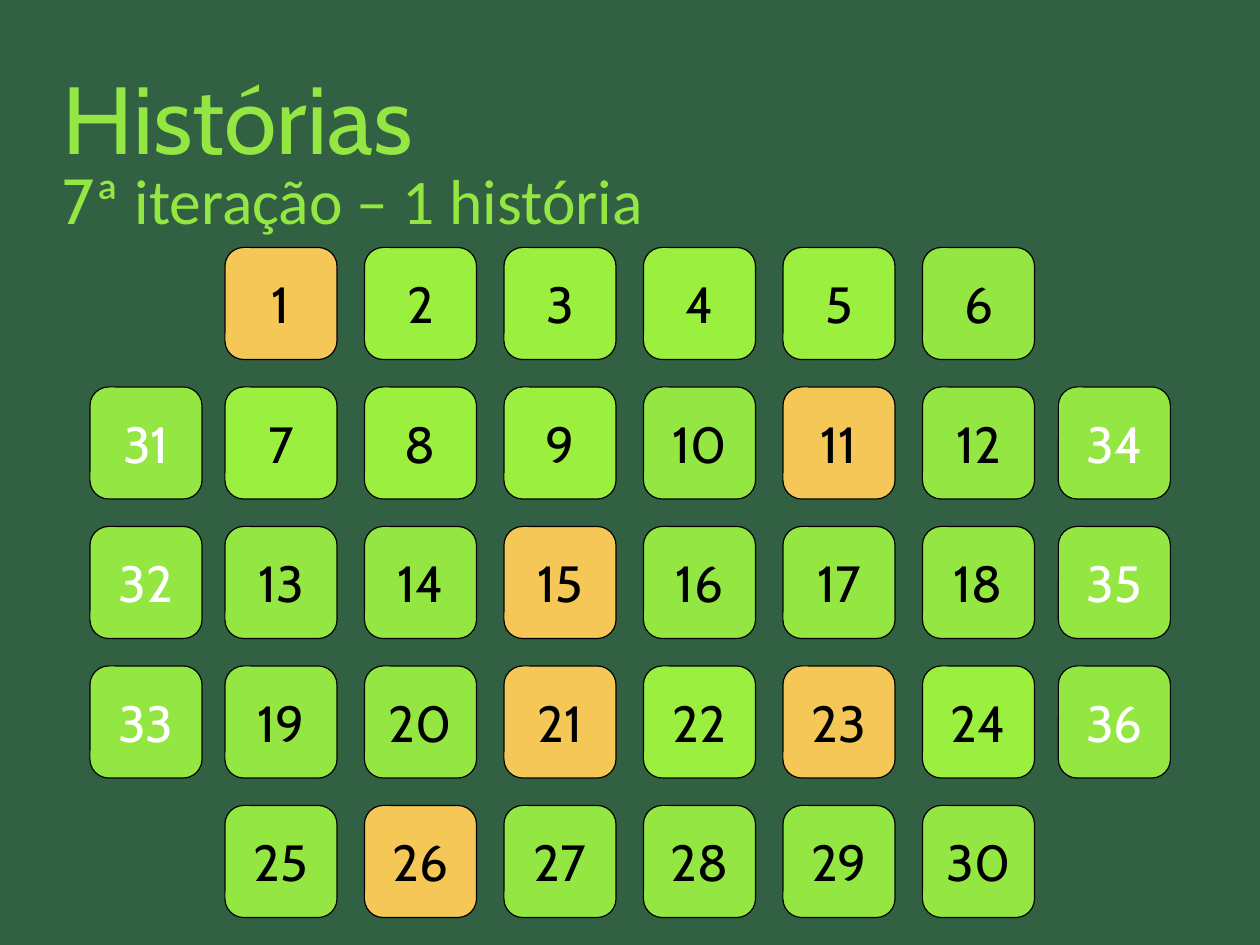
from pptx import Presentation
from pptx.dml.color import RGBColor
from pptx.enum.shapes import MSO_SHAPE
from pptx.enum.text import MSO_ANCHOR, PP_ALIGN
from pptx.util import Cm, Pt

COLORS = {
    "background": "316142",
    "green": "94E742",
    "bright": "9AEF3F",
    "amber": "F4C757",
    "black": "000000",
    "white": "FFFFFF",
}
BRIGHT_STORIES = {2, 3, 4, 5, 7, 8, 9, 22, 24}
AMBER_STORIES = {1, 11, 15, 21, 23, 26}
CARD_SIZE = 2.49
CARD_PITCH = 3.1
MAIN_COLUMNS = 6
MAIN_ROWS = 5
SIDE_ROWS = 3


def color(name):
    """Return the named colour."""
    return RGBColor.from_string(COLORS[name])


def apply_format(target, values):
    """Set each attribute in values on the target."""
    for name, value in values.items():
        setattr(target, name, value)


def add_run(paragraph, text, size, font_name, color_name):
    """Append a formatted run to the paragraph."""
    run = paragraph.add_run()
    run.text = text
    apply_format(run.font, {"size": Pt(size), "name": font_name})
    run.font.color.rgb = color(color_name)


def add_heading(slide, left, top, width, height, size, parts):
    """Place a heading made of (text, font) parts in the given box."""
    shape = slide.shapes.add_textbox(Cm(left), Cm(top), Cm(width), Cm(height))
    apply_format(shape.text_frame, {
        "word_wrap": True,
        "vertical_anchor": MSO_ANCHOR.MIDDLE,
        "margin_left": 0,
        "margin_top": 0,
        "margin_right": 0,
        "margin_bottom": 0,
    })
    for text, font_name in parts:
        add_run(shape.text_frame.paragraphs[0], text, size, font_name, "green")


def add_card(slide, left, top, story, fill_name, text_name):
    """Place one numbered story card."""
    shape = slide.shapes.add_shape(
        MSO_SHAPE.ROUNDED_RECTANGLE, Cm(left), Cm(top), Cm(CARD_SIZE), Cm(CARD_SIZE)
    )
    shape.shadow.inherit = False
    shape.adjustments[0] = 0.167
    shape.fill.solid()
    shape.fill.fore_color.rgb = color(fill_name)
    shape.line.color.rgb = color("black")
    shape.line.width = Pt(0)
    apply_format(shape.text_frame, {"word_wrap": True, "vertical_anchor": MSO_ANCHOR.MIDDLE})
    paragraph = shape.text_frame.paragraphs[0]
    paragraph.alignment = PP_ALIGN.CENTER
    add_run(paragraph, str(story), 32, "Cabin", text_name)


def add_main_grid(slide, left, top):
    """Place the grid of planned stories, numbered row by row."""
    for index in range(MAIN_ROWS * MAIN_COLUMNS):
        row, column = divmod(index, MAIN_COLUMNS)
        story = index + 1
        fill_name = (
            "amber" if story in AMBER_STORIES
            else "bright" if story in BRIGHT_STORIES
            else "green"
        )
        add_card(slide, left + column * CARD_PITCH, top + row * CARD_PITCH,
                 story, fill_name, "black")


def add_side_column(slide, left, top, first_story):
    """Place a column of added stories, numbered downwards."""
    for row in range(SIDE_ROWS):
        add_card(slide, left, top + row * CARD_PITCH, first_story + row, "green", "white")


def build_stories_slide(presentation):
    """Add the slide with the headings and the story cards."""
    slide = presentation.slides.add_slide(presentation.slide_layouts[6])
    slide.background.fill.solid()
    slide.background.fill.fore_color.rgb = color("background")
    add_heading(slide, 1.4, 0.84, 25.2, 3.5, 60, [("Histórias", "Cabin")])
    add_heading(slide, 1.4, 3.1, 25.2, 2.64, 40,
                [("7", "Cabin"), ("ª iteração – 1 história", "Calibri")])
    grid_top = 5.5
    add_main_grid(slide, 5, grid_top)
    add_side_column(slide, 2, grid_top + CARD_PITCH, 31)
    add_side_column(slide, 23.52, grid_top + CARD_PITCH, 34)


def main():
    """Build and save the presentation."""
    presentation = Presentation()
    apply_format(presentation, {"slide_width": Cm(28), "slide_height": Cm(21)})
    build_stories_slide(presentation)
    presentation.save("out.pptx")


if __name__ == "__main__":
    main()
